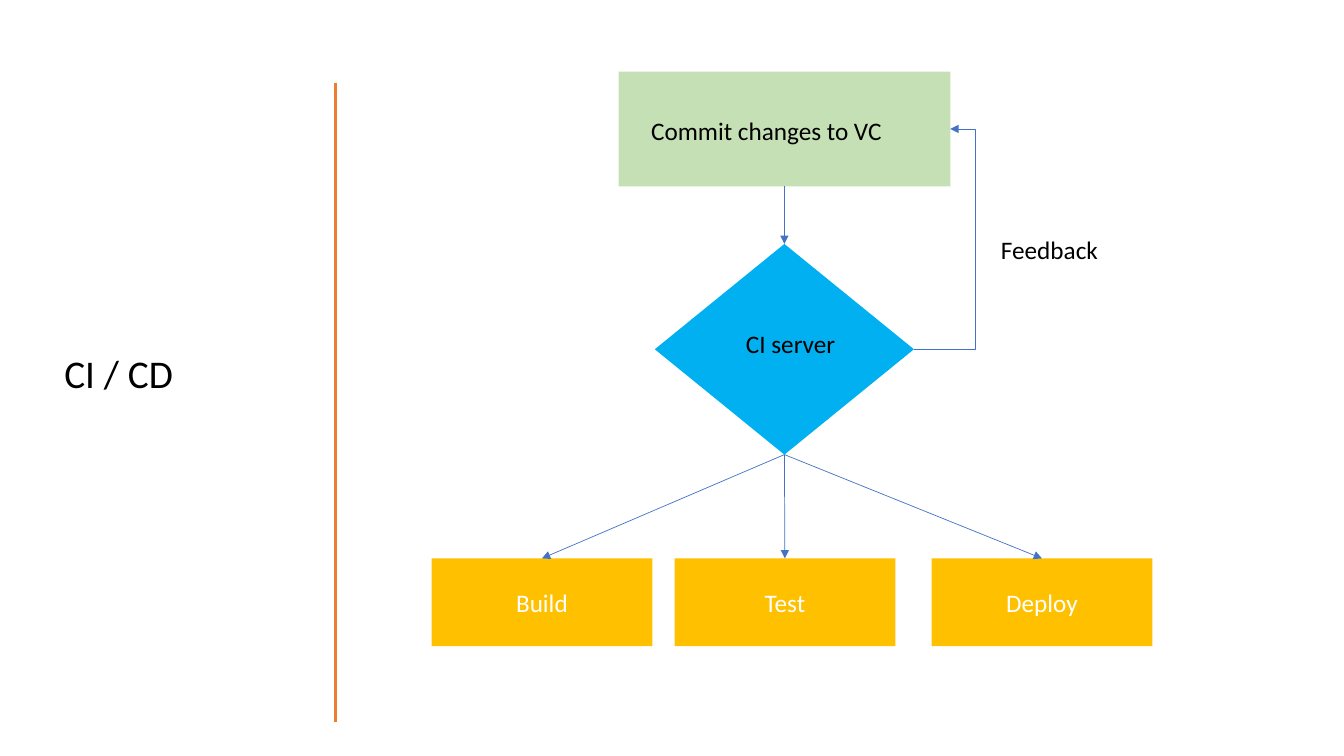
import lxml.etree
import pptx
import pptx.dml.color
import pptx.enum.shapes
import pptx.enum.text
import pptx.oxml.ns
import pptx.util

Inches = pptx.util.Inches
SHAPE = pptx.enum.shapes.MSO_SHAPE
CONNECTOR = pptx.enum.shapes.MSO_CONNECTOR
qn = pptx.oxml.ns.qn

COLORS = {
    "text": "000000",
    "light_text": "FFFFFF",
    "divider": "ED7D31",
    "commit": "C5E0B4",
    "server": "00B0F0",
    "stage": "FFC000",
    "arrow": "4472C4",
}
TOP, LEFT, BOTTOM, RIGHT = range(4)


def rgb(name):
    return pptx.dml.color.RGBColor.from_string(COLORS[name])


def write(tf, text, size, color):
    p = tf.paragraphs[0]
    p.text = text
    p.font.name = "Calibri"
    p.font.size = pptx.util.Pt(size)
    p.font.color.rgb = rgb(color)
    return p


def add_label(slide, text, x, y, w, h, size=18):
    sp = slide.shapes.add_textbox(Inches(x), Inches(y), Inches(w), Inches(h))
    tf = sp.text_frame
    tf.word_wrap = True
    tf.auto_size = pptx.enum.text.MSO_AUTO_SIZE.SHAPE_TO_FIT_TEXT
    write(tf, text, size, "text")


def add_node(slide, kind, color, x, y, w, h, text=None):
    sp = slide.shapes.add_shape(kind, Inches(x), Inches(y), Inches(w), Inches(h))
    sp.shadow.inherit = False
    sp.fill.solid()
    sp.fill.fore_color.rgb = rgb(color)
    sp.line.fill.background()
    if text:
        sp.text_frame.vertical_anchor = pptx.enum.text.MSO_ANCHOR.MIDDLE
        p = write(sp.text_frame, text, 18, "light_text")
        p.alignment = pptx.enum.text.PP_ALIGN.CENTER
    return sp


def add_line(slide, kind, color, width, x1=0, y1=0, x2=0, y2=0):
    cxn = slide.shapes.add_connector(
        kind, Inches(x1), Inches(y1), Inches(x2), Inches(y2))
    cxn.line.color.rgb = rgb(color)
    cxn.line.width = pptx.util.Pt(width)
    lxml.etree.SubElement(cxn._element.spPr, qn("a:effectLst"))
    return cxn


def add_arrow(slide, start, start_side, end, end_side, kind=CONNECTOR.STRAIGHT):
    cxn = add_line(slide, kind, "arrow", 0.5)
    cxn.begin_connect(start, start_side)
    cxn.end_connect(end, end_side)
    ln = cxn._element.spPr.find(qn("a:ln"))
    lxml.etree.SubElement(ln, qn("a:tailEnd"), type="triangle")
    return cxn


def set_bend(cxn, ratio):
    geom = cxn._element.spPr.find(qn("a:prstGeom"))
    av = geom.find(qn("a:avLst"))
    if av is None:
        av = lxml.etree.SubElement(geom, qn("a:avLst"))
    lxml.etree.SubElement(
        av, qn("a:gd"), name="adj1", fmla=f"val {round(ratio * 100000)}")


def add_title_panel(slide, x, y, w, h):
    add_line(slide, CONNECTOR.STRAIGHT, "divider", 2.25, x + w, y, x + w, y + h)
    add_label(slide, "CI / CD", x, y + 2.6, 2.94, 0.57, 28)


def add_pipeline(slide, x, y, w, h):
    center = x + 3.5
    server = add_node(slide, SHAPE.DIAMOND, "server",
                      center - 1.285, y + 1.71, 2.57, 2.09)
    commit = add_node(slide, SHAPE.RECTANGLE, "commit",
                      center - 1.645, y, 3.29, 1.14)

    stage_w, stage_h = 2.19, 0.87
    stages = [("Build", x), ("Test", x + 2.41), ("Deploy", x + w - stage_w)]
    stage_nodes = [
        add_node(slide, SHAPE.RECTANGLE, "stage",
                 left, y + h - stage_h, stage_w, stage_h, text)
        for text, left in stages
    ]

    feedback = add_arrow(slide, server, RIGHT, commit, RIGHT, CONNECTOR.ELBOW)
    set_bend(feedback, 1.69)
    add_arrow(slide, commit, BOTTOM, server, TOP)
    for node in stage_nodes:
        add_arrow(slide, server, BOTTOM, node, TOP)

    add_label(slide, "Feedback", x + 5.55, y + 1.57, 1.7, 0.4)
    add_label(slide, "Commit changes to VC", x + 2.08, y + 0.38, 2.7, 0.4)
    add_label(slide, "CI server", x + 3.02, y + 2.5, 1.12, 0.4)


def main():
    prs = pptx.Presentation()
    prs.slide_width = Inches(13.33)
    prs.slide_height = Inches(7.5)
    slide = prs.slides.add_slide(prs.slide_layouts[6])
    add_title_panel(slide, 0.54, 0.82, 2.79, 6.34)
    add_pipeline(slide, 4.28, 0.71, 7.15, 5.7)
    prs.save("out.pptx")


if __name__ == "__main__":
    main()
